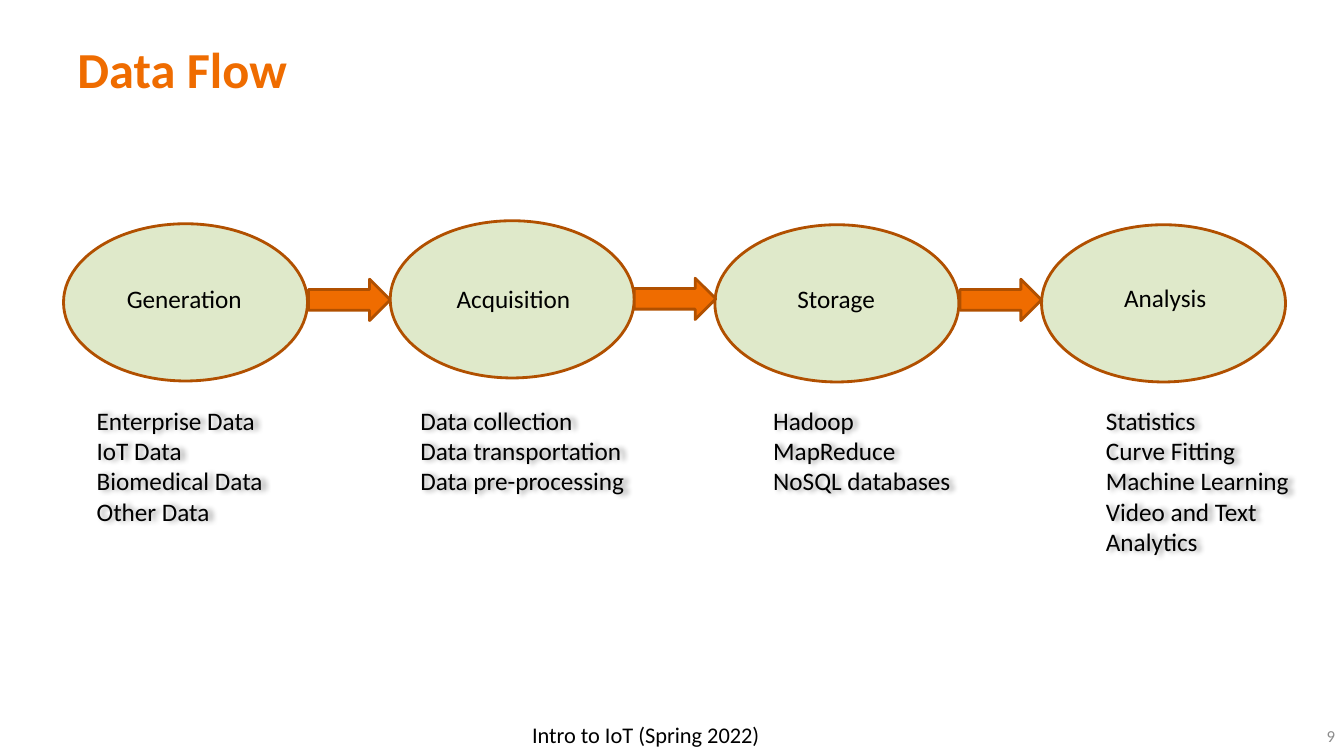
from pptx import Presentation
from pptx.dml.color import RGBColor
from pptx.enum.shapes import MSO_SHAPE
from pptx.enum.text import MSO_ANCHOR, PP_ALIGN
from pptx.oxml import parse_xml
from pptx.oxml.ns import nsdecls, qn
from pptx.util import Pt

PX = 9144
ORANGE = RGBColor(0xEF, 0x6C, 0x00)
RUST = RGBColor(0xB1, 0x50, 0x00)
SAGE = RGBColor(0xDF, 0xE9, 0xCA)
BLACK = RGBColor(0, 0, 0)
GRAY = RGBColor(0x8C, 0x8C, 0x8C)
OVAL, ARROW = MSO_SHAPE.OVAL, MSO_SHAPE.RIGHT_ARROW
LEFT, CENTER, RIGHT = PP_ALIGN.LEFT, PP_ALIGN.CENTER, PP_ALIGN.RIGHT
TOP, MIDDLE = MSO_ANCHOR.TOP, MSO_ANCHOR.MIDDLE

OVAL_SIZE = (242, 156)
ARROW_SIZE = (81, 41)
LIST_TOP = 397
STAGES = [
    ("Generation", (63, 222), (116, 276, 137, 40), (86, LIST_TOP, 198, 131),
     ["Enterprise Data", "IoT Data", "Biomedical Data", "Other Data"]),
    ("Acquisition", (387, 219), (443, 276, 135, 40), (407, LIST_TOP, 229, 101),
     ["Data collection", "Data transportation", "Data pre-processing"]),
    ("Storage", (709, 223), (781, 276, 98, 40), (757, LIST_TOP, 202, 101),
     ["Hadoop", "MapReduce", "NoSQL databases"]),
    ("Analysis", (1033, 223), (1105, 275, 102, 40), (1087, LIST_TOP, 202, 162),
     ["Statistics", "Curve Fitting", "Machine Learning", "Video and Text Analytics"]),
]
ARROWS = [(306, 277), (629, 276), (952, 277)]


class FlowSlide:
    """Draws styled elements on one blank slide, with lengths in px."""

    font = "Calibri"
    line_width = Pt(2)

    def __init__(self, deck):
        self.page = deck.slides.add_slide(deck.slide_layouts[6])

    def shape(self, kind, corner, size, fill):
        shape = self.page.shapes.add_shape(kind, *(n * PX for n in corner + size))
        shape.shadow.inherit = False
        shape.fill.solid()
        shape.fill.fore_color.rgb = fill
        shape.line.color.rgb = RUST
        shape.line.width = self.line_width

    def text(self, area, lines, size=18, color=BLACK, bold=False,
             align=LEFT, anchor=TOP, wrap=True):
        box = self.page.shapes.add_textbox(*(n * PX for n in area))
        frame = box.text_frame
        frame.word_wrap = wrap
        frame.vertical_anchor = anchor
        frame.text = "\n".join(lines)
        for paragraph in frame.paragraphs:
            paragraph.alignment = align
            font = paragraph.font
            font.name, font.size, font.bold = self.font, Pt(size), bold
            font.color.rgb = color
        return box

    def shadowed_list(self, area, lines):
        box = self.text(area, lines)
        box.shadow.inherit = False
        effects = box._element.spPr.find(qn("a:effectLst"))
        effects.append(parse_xml(
            f'<a:outerShdw {nsdecls("a")} blurRad="50800" dist="38100" algn="l" rotWithShape="0">'
            '<a:prstClr val="black"><a:alpha val="40000"/></a:prstClr></a:outerShdw>'))


def main():
    deck = Presentation()
    deck.slide_width, deck.slide_height = 1333 * PX, 750 * PX
    slide = FlowSlide(deck)
    slide.text((67, 21, 1044, 93), ["Data Flow"], 36, ORANGE, bold=True, anchor=MIDDLE)
    slide.text((1267, 710, 67, 40), ["9"], 12, GRAY, align=RIGHT, anchor=MIDDLE)
    for _, corner, _, _, _ in STAGES:
        slide.shape(OVAL, corner, OVAL_SIZE, SAGE)
    for corner in ARROWS:
        slide.shape(ARROW, corner, ARROW_SIZE, ORANGE)
    for name, _, label_area, list_area, items in STAGES:
        slide.text(label_area, [name], wrap=False)
        slide.shadowed_list(list_area, items)
    slide.text((432, 711, 417, 37), ["Intro to IoT (Spring 2022)"], 16, align=CENTER)
    deck.save("out.pptx")


if __name__ == "__main__":
    main()
